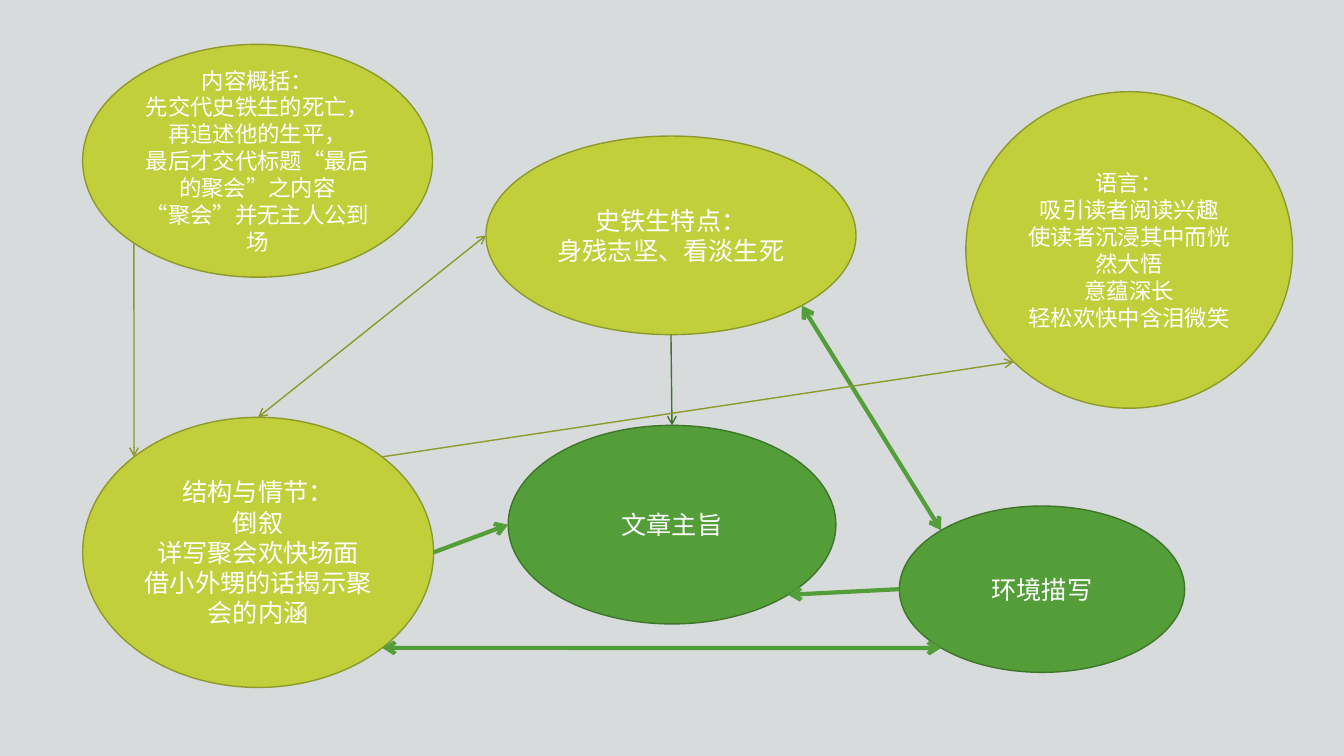
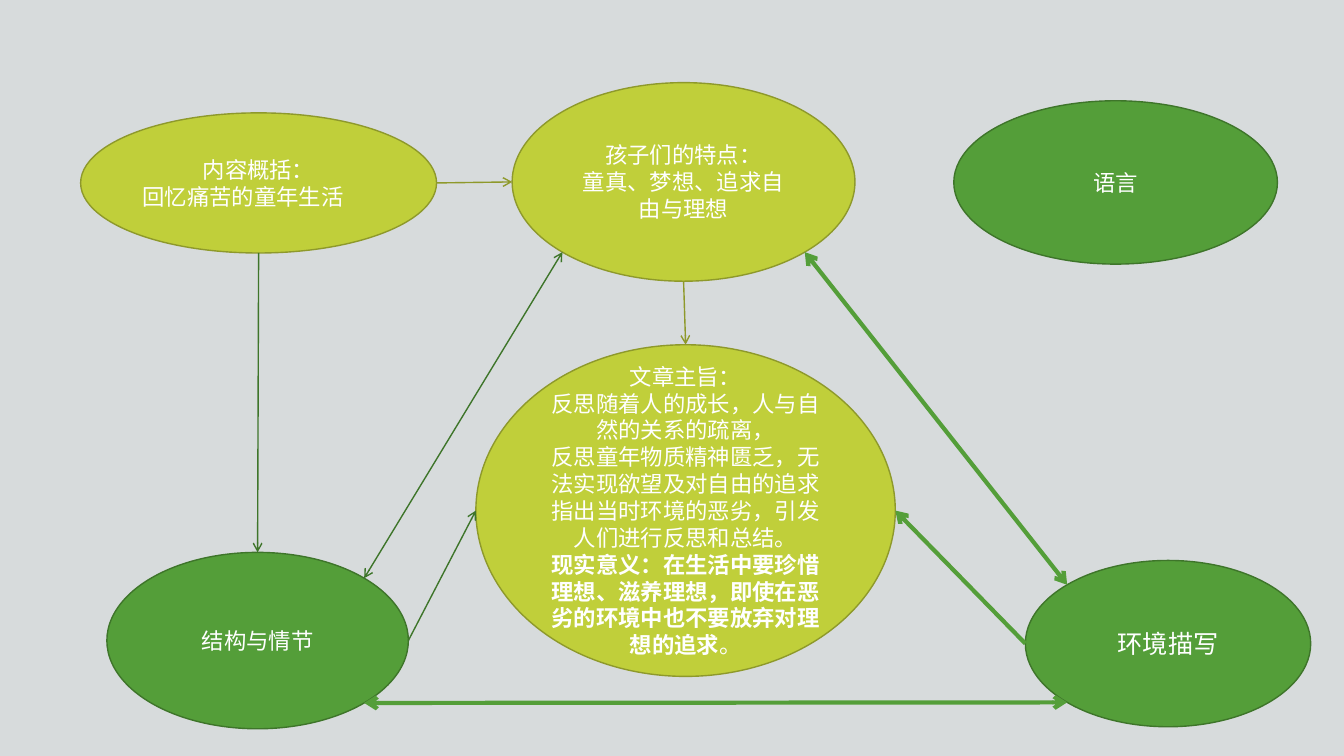
from math import cos, radians, sin

from lxml import etree
from pptx import Presentation
from pptx.dml.color import RGBColor
from pptx.enum import shapes, text
from pptx.oxml import ns
from pptx.util import Inches, Pt

GRAY = RGBColor(0xD7, 0xDB, 0xDC)
WHITE = RGBColor(0xFF, 0xFF, 0xFF)
GREEN = RGBColor(0x54, 0x9E, 0x39)
DARK = RGBColor(0x3E, 0x75, 0x2A)
LIME = RGBColor(0xC0, 0xCF, 0x3A)
OLIVE = RGBColor(0x8E, 0x99, 0x2B)
EDGE = {GREEN: DARK, LIME: OLIVE}
NARROW = "Arial Narrow"
SANS = "Noto Sans CJK SC"

# Connection sites of an ellipse, counter-clockwise from the top
TOP, TOP_LEFT, LEFT, LOW_LEFT, LOW, LOW_RIGHT, RIGHT, TOP_RIGHT = range(8)


def add_oval(slide, box, fill, size, lines, face=NARROW):
    oval = slide.shapes.add_shape(shapes.MSO_SHAPE.OVAL, *map(Inches, box))
    oval.shadow.inherit = False
    oval.fill.solid()
    oval.fill.fore_color.rgb = fill
    oval.line.color.rgb = EDGE[fill]
    oval.line.width = Pt(1)
    frame = oval.text_frame
    frame.word_wrap = True
    frame.vertical_anchor = text.MSO_ANCHOR.MIDDLE
    for i, line in enumerate(lines):
        para = frame.add_paragraph() if i else frame.paragraphs[0]
        para.alignment = text.PP_ALIGN.CENTER
        run = para.add_run()
        run.text = line
        run.font.size = Pt(size)
        run.font.name = face
        run.font.color.rgb = WHITE
    return oval


def add_arrow(slide, start, site, end, goal, color, both=False):
    """Glue an arrow between two ellipse sites; green arrows are thick."""
    ends = []
    for oval, spot in ((start, site), (end, goal)):
        turn = radians(90 + 45 * spot)
        ends += [round(oval.left + oval.width * (1 + cos(turn)) / 2),
                 round(oval.top + oval.height * (1 - sin(turn)) / 2)]
    arrow = slide.shapes.add_connector(shapes.MSO_CONNECTOR.STRAIGHT, *ends)
    arrow.line.color.rgb = color
    arrow.line.width = Pt(3 if color == GREEN else 1)
    node = arrow._element
    glue = node.find(".//" + ns.qn("p:cNvCxnSpPr"))
    for tag, oval, spot in (("stCxn", start, site), ("endCxn", end, goal)):
        etree.SubElement(glue, ns.qn("a:" + tag),
                         id=str(oval.shape_id), idx=str(spot))
    line = node.find(".//" + ns.qn("a:ln"))
    for tag in ("headEnd", "tailEnd") if both else ("tailEnd",):
        etree.SubElement(line, ns.qn("a:" + tag), type="arrow")
    etree.SubElement(node.find(ns.qn("p:spPr")), ns.qn("a:effectLst"))


deck = Presentation()
deck.slide_width = Inches(13.33)
deck.slide_height = Inches(7.5)
back = deck.slide_master.background.fill
back.solid()
back.fore_color.rgb = GRAY
blank = deck.slide_layouts[6]

# Slide 1
slide = deck.slides.add_slide(blank)
theme = add_oval(slide, (5.04, 4.22, 3.25, 1.97), GREEN, 18, ["文章主旨"])
scene = add_oval(slide, (8.92, 5.02, 2.83, 1.65), GREEN, 18, ["环境描写"])
traits = add_oval(slide, (4.82, 1.35, 3.67, 1.97), LIME, 18,
                  ["史铁生特点：", "身残志坚、看淡生死"], SANS)
story = add_oval(slide, (0.82, 0.44, 3.47, 2.31), LIME, 16, [
    "内容概括：",
    "先交代史铁生的死亡，再追述他的生平，",
    "最后才交代标题“最后的聚会”之内容",
    "“聚会”并无主人公到场",
])
style = add_oval(slide, (9.58, 0.91, 3.24, 3.14), LIME, 16, [
    "语言：",
    "吸引读者阅读兴趣",
    "使读者沉浸其中而恍然大悟",
    "意蕴深长",
    "轻松欢快中含泪微笑",
])
plot = add_oval(slide, (0.82, 4.14, 3.48, 2.68), LIME, 18, [
    "结构与情节：",
    "倒叙",
    "详写聚会欢快场面",
    "借小外甥的话揭示聚会的内涵",
])
for link in (
    (scene, LEFT, theme, LOW_RIGHT, GREEN),
    (plot, RIGHT, theme, LEFT, GREEN),
    (traits, LOW, theme, TOP, DARK),
    (traits, LOW_RIGHT, scene, TOP_LEFT, GREEN, True),
    (scene, LOW_LEFT, plot, LOW_RIGHT, GREEN, True),
    (plot, TOP_RIGHT, style, LOW_LEFT, OLIVE),
    (traits, LEFT, plot, TOP, OLIVE, True),
    (story, LOW_LEFT, plot, TOP_LEFT, OLIVE),
):
    add_arrow(slide, *link)

# Slide 2
slide = deck.slides.add_slide(blank)
theme = add_oval(slide, (4.72, 3.42, 4.16, 3.29), LIME, 16, [
    "文章主旨：",
    "反思随着人的成长，人与自然的关系的疏离，",
    "反思童年物质精神匮乏，无法实现欲望及对自由的追求",
    "指出当时环境的恶劣，引发人们进行反思和总结。",
    "现实意义：在生活中要珍惜理想、滋养理想，"
    "即使在恶劣的环境中也不要放弃对理想的追求",
])
moral = theme.text_frame.paragraphs[-1]
moral.runs[0].font.bold = True
stop = moral.add_run()
stop.text = "。"
stop.font.size = Pt(16)
stop.font.name = NARROW
stop.font.color.rgb = WHITE

scene = add_oval(slide, (10.17, 5.56, 2.83, 1.65), GREEN, 18, ["环境描写"])
traits = add_oval(slide, (5.08, 0.82, 3.4, 1.97), LIME, 16,
                  ["孩子们的特点：", "童真、梦想、追求自由与理想"])
traits.text_frame.paragraphs[0].runs[0].font.name = SANS
story = add_oval(slide, (0.8, 1.12, 3.53, 1.39), LIME, 16,
                 ["内容概括：", "回忆痛苦的童年生活"])
story.text_frame.paragraphs[1].alignment = text.PP_ALIGN.LEFT
add_oval(slide, (9.46, 1, 3.21, 1.62), GREEN, 16, ["语言"])
plot = add_oval(slide, (1.06, 5.48, 2.99, 1.75), GREEN, 16, ["结构与情节"])
for link in (
    (scene, LEFT, theme, RIGHT, GREEN),
    (plot, RIGHT, theme, LEFT, DARK),
    (traits, LOW, theme, TOP, OLIVE),
    (traits, LOW_RIGHT, scene, TOP_LEFT, GREEN, True),
    (scene, LOW_LEFT, plot, LOW_RIGHT, GREEN, True),
    (traits, LOW_LEFT, plot, TOP_RIGHT, DARK, True),
    (story, LOW, plot, TOP, DARK),
    (story, RIGHT, traits, LEFT, OLIVE),
):
    add_arrow(slide, *link)

deck.save("out.pptx")
